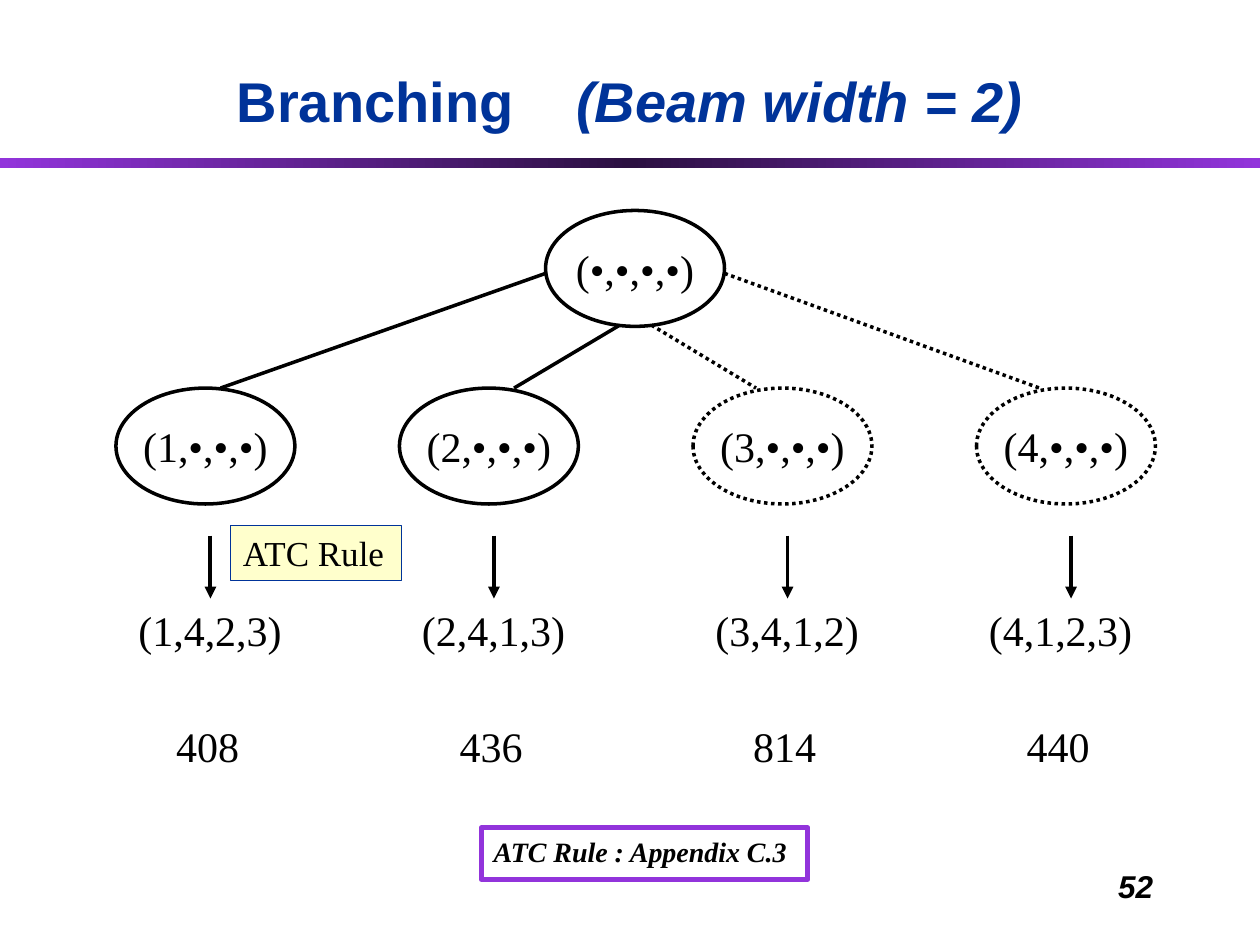
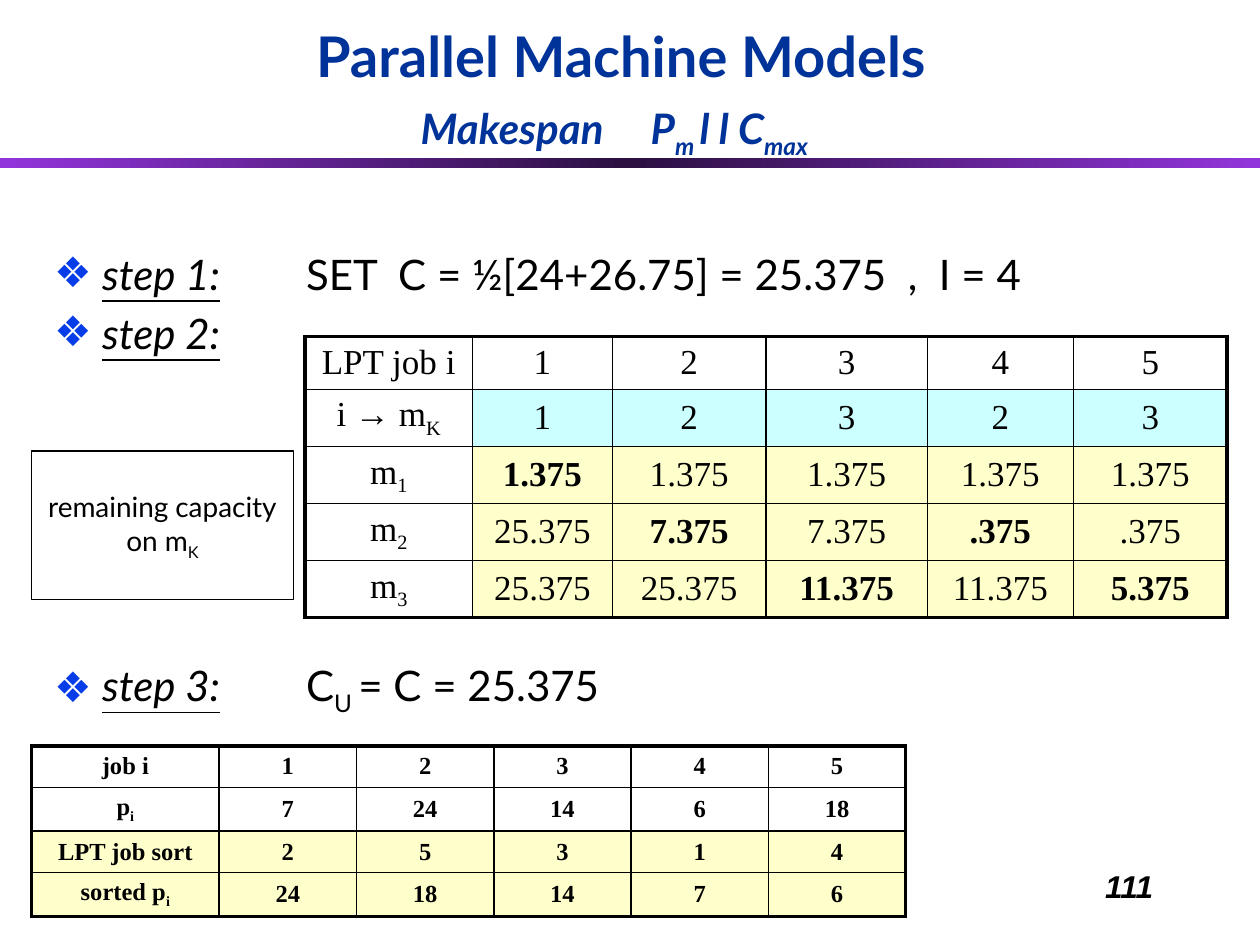
from lxml import etree
from pptx import Presentation
from pptx.dml.color import RGBColor
from pptx.enum.dml import MSO_LINE
from pptx.enum.shapes import MSO_CONNECTOR, MSO_SHAPE
from pptx.enum.text import MSO_ANCHOR, MSO_AUTO_SIZE, PP_ALIGN
from pptx.oxml.ns import qn
from pptx.util import Inches, Pt

RECT, OVAL = MSO_SHAPE.RECTANGLE, MSO_SHAPE.OVAL
LEFT, MID, RIGHT = PP_ALIGN.LEFT, PP_ALIGN.CENTER, PP_ALIGN.RIGHT
TOP, CENTER, LOW = MSO_ANCHOR.TOP, MSO_ANCHOR.MIDDLE, MSO_ANCHOR.BOTTOM
FIXED = MSO_AUTO_SIZE.NONE
DOT = MSO_LINE.ROUND_DOT
STRAIGHT = MSO_CONNECTOR.STRAIGHT

COLORS = {"ink": "000000", "navy": "003399", "violet": "9234DB", "dusk": "2B1041",
          "cream": "FFFFCC", "aqua": "CCFFFF", "blue": "063DE8"}
SERIF, SANS, HUMAN = "Times New Roman", "Arial", "Lato"

# Text parts are (text, flags, gap): "_" toggles subscript, flags are
# b bold, i italic, u underline, s small; gap is added letter spacing.
BRANCH_TITLE = [("Branching", "b"), (" ", "b", 26.7), ("(Beam width = 2)", "bi")]
ROOT = (4.33, 1.67, "(•,•,•,•)")
NODES = [
    (0.92, 1, "(1,•,•,•)", "(1,4,2,3)", "408", None),
    (3.17, 3.25, "(2,•,•,•)", "(2,4,1,3)", "436", None),
    (5.5, 5.58, "(3,•,•,•)", "(3,4,1,2)", "814", DOT),
    (7.75, 7.75, "(4,•,•,•)", "(4,1,2,3)", "440", DOT),
]
EDGES = [(4.33, 2.17, 1.75), (4.92, 2.58, 4.08), (5.17, 2.58, 6), (5.75, 2.17, 8.25)]

MODEL_TITLE = [("Parallel Machine Models", "b"), ("\n", ""), ("Makespan", "bis"),
               (" ", "bis", 21.7), ("P_m _l l C_max", "bis"), (" ", "b")]
STEPS = [
    ("step 1:", "\tSET  C = ½[24+26.75] = 25.375  ,  I = 4", 0),
    ("step 2:", "", 4.8),
    ("step 3:", "\tC_U _= C = 25.375", 172.8),
]
ASSIGN = ["1", "2", "3", "2", "3"]
LPT = [
    ["LPT job i", "1", "2", "3", "4", "5"],
    ["i → m_K", *ASSIGN],
    ["m_1", "1.375", "1.375", "1.375", "1.375", "1.375"],
    ["m_2", "25.375", "7.375", "7.375", ".375", ".375"],
    ["m_3", "25.375", "25.375", "11.375", "11.375", "5.375"],
]
JOBS = [
    ["job i", "1", "2", "3", "4", "5"],
    ["p_i", "7", "24", "14", "6", "18"],
    ["LPT job sort", "2", "5", "3", "1", "4"],
    ["sorted p_i", "24", "18", "14", "7", "6"],
]


def rgb(name):
    return RGBColor.from_string(COLORS[name])


def sub(parent, tag, **attrs):
    return etree.SubElement(parent, qn(tag), attrs)


def tint(parent, name):
    sub(parent, "a:srgbClr", val=COLORS[name])


def place(shape, box):
    shape.left, shape.top, shape.width, shape.height = map(Inches, box)


def write(para, parts, size, face, color="ink", align=LEFT):
    para.alignment = align
    for text, flags, *gap in parts:
        if text == "\n":
            para.add_line_break()
            continue
        for n, piece in enumerate(text.split("_")):
            if not piece:
                continue
            run = para.add_run()
            run.text = piece
            for flag, name in (("b", "bold"), ("i", "italic"), ("u", "underline")):
                if flag in flags:
                    setattr(run.font, name, True)
            if "s" in flags:
                run.font.size = Pt(24)
            props = run._r.get_or_add_rPr()
            if n % 2:
                props.set("baseline", "-25000")
            if gap:
                props.set("spc", str(round(gap[0] * 100)))
    font = para.font
    font.size, font.name = Pt(size), face
    font.color.rgb = rgb(color)


def frame(shape, wrap=True, anchor=TOP):
    text = shape.text_frame
    text.word_wrap, text.auto_size, text.vertical_anchor = wrap, FIXED, anchor
    return text


def label(slide, box, text, size=24, face=SERIF, flags="", align=LEFT):
    shape = slide.shapes.add_textbox(*map(Inches, box))
    write(frame(shape, False).paragraphs[0], [(text, flags)], size, face, align=align)


def block(slide, kind, box, line=None, width=1, fill=None, dash=None):
    shape = slide.shapes.add_shape(kind, *map(Inches, box))
    shape.shadow.inherit = False
    if fill:
        shape.fill.solid()
        shape.fill.fore_color.rgb = rgb(fill)
    else:
        shape.fill.background()
    if line:
        shape.line.color.rgb = rgb(line)
        shape.line.width = Pt(width)
        shape.line.dash_style = dash
    else:
        shape.line.fill.background()
    return shape


def link(slide, start, end, width=2, dash=None, arrow=False):
    line = slide.shapes.add_connector(STRAIGHT, *map(Inches, (*start, *end)))
    line.line.color.rgb = rgb("ink")
    line.line.width = Pt(width)
    line.line.dash_style = dash
    if arrow:
        sub(line.line._get_or_add_ln(), "a:tailEnd", type="triangle")
    sub(line._element.spPr, "a:effectLst")


def begin(deck, layout, title, box, face, anchor, number):
    slide = deck.slides.add_slide(deck.slide_layouts[layout])
    band = block(slide, RECT, (0, 1.25, 10, 0.08))
    band.fill.gradient()
    band.fill.gradient_angle = 0
    stops = band._element.spPr.find(qn("a:gradFill")).find(qn("a:gsLst"))
    for stop in list(stops):
        stops.remove(stop)
    for pos, name in ((0, "violet"), (50000, "dusk"), (100000, "violet")):
        tint(sub(stops, "a:gs", pos=str(pos)), name)
    place(slide.shapes.title, box)
    text = frame(slide.shapes.title, True, anchor)
    write(text.paragraphs[0], title, 32, face, "navy", MID)
    label(slide, (7.17, 6.83, 2.08, 0.5), number, 18, SANS, "bi", RIGHT)
    return slide


def node(slide, x, y, text, dash=None):
    oval = block(slide, OVAL, (x, y, 1.42, 0.92), "ink", 2, dash=dash)
    write(frame(oval, False, CENTER).paragraphs[0], [(text, "")], 24, SERIF, align=MID)


def branch(deck):
    slide = begin(deck, 5, BRANCH_TITLE, (0.75, 0.42, 8.5, 0.75), SANS, CENTER, "52")
    node(slide, *ROOT)
    for (x, left, name, order, cost, dash), (from_x, from_y, to_x) in zip(NODES, EDGES):
        node(slide, x, 3.08, name, dash)
        link(slide, (from_x, from_y), (to_x, 3.08), dash=dash)
        link(slide, (x + 0.75, 4.25), (x + 0.75, 4.75), 2.25, arrow=True)
        label(slide, (left, 4.75, 1.34, 0.5), order)
        label(slide, (left + 0.3, 5.67, 0.7, 0.5), cost)
    rule = block(slide, RECT, (1.83, 4.17, 1.36, 0.44), "navy", 0.75, "cream")
    write(frame(rule, False).paragraphs[0], [("ATC Rule", "")], 20, SERIF)
    note = block(slide, RECT, (3.82, 6.57, 2.59, 0.41), "violet", 3)
    write(frame(note, False).paragraphs[0], [("ATC Rule : Appendix C.3", "bi")], 16, SERIF)


def grid(slide, data, left, top, widths, height, size, tints, first, bold):
    rows, cols = len(data), len(data[0])
    box = (left, top, sum(widths), height * rows)
    table = slide.shapes.add_table(rows, cols, *map(Inches, box)).table
    table.first_row = table.horz_banding = False
    for col, width in zip(table.columns, widths):
        col.width = Inches(width)
    for r, row in enumerate(data):
        table.rows[r].height = Inches(height)
        for c, text in enumerate(row):
            cell = table.cell(r, c)
            cell.vertical_anchor = CENTER
            flags = "b" if bold(r, c) else ""
            write(cell.text_frame.paragraphs[0], [(text, flags)], size, SERIF, align=MID)
            props = cell._tc.get_or_add_tcPr()
            outer = {"L": c == 0, "R": c == cols - 1, "T": r == 0, "B": r == rows - 1}
            for side, edge in outer.items():
                line = sub(props, "a:ln" + side, w=str(Pt(2.25 if edge else 1)))
                tint(sub(line, "a:solidFill"), "ink")
            if tints[r] and c >= first:
                cell.fill.solid()
                cell.fill.fore_color.rgb = rgb(tints[r])
            else:
                cell.fill.background()


def steps(body):
    place(body, (0.33, 1.92, 9.42, 5.25))
    text = frame(body)
    for n, (name, rest, gap) in enumerate(STEPS):
        para = text.add_paragraph() if n else text.paragraphs[0]
        para.space_before = Pt(gap)
        props = para._p.get_or_add_pPr()
        props.set("marL", str(Inches(0.38)))
        props.set("indent", str(-Inches(0.38)))
        tint(sub(props, "a:buClr"), "blue")
        sub(props, "a:buChar", char="❖")
        sub(sub(props, "a:tabLst"), "a:tab", pos=str(Inches(2)), algn="l")
        write(para, [(name, "iu"), (rest, "")], 24, HUMAN)


def models(deck):
    slide = begin(deck, 1, MODEL_TITLE, (0.25, 0.17, 9.36, 1.15), HUMAN, LOW, "111")
    steps(slide.placeholders[1])
    grid(slide, LPT, 2.42, 2.67, [1.33, 1.11, 1.22, 1.28, 1.16, 1.22], 0.42, 20,
         [None, "aqua", "cream", "cream", "cream"], 1,
         lambda r, c: r > 1 and c > 0 and ASSIGN[c - 1] == str(r - 1))
    note = block(slide, RECT, (0.25, 3.58, 2.08, 1.18), "ink", 0.75)
    text = frame(note, True, CENTER)
    write(text.paragraphs[0], [("remaining capacity", "")], 16, HUMAN, align=MID)
    write(text.add_paragraph(), [("on m_K", "")], 16, HUMAN, align=MID)
    grid(slide, JOBS, 0.25, 5.92, [1.49] + [1.09] * 5, 0.33, 14,
         [None, None, "cream", "cream"], 0, lambda r, c: True)


def main():
    deck = Presentation()
    deck.slide_width, deck.slide_height = Inches(10), Inches(7.5)
    branch(deck)
    models(deck)
    deck.save("out.pptx")


if __name__ == "__main__":
    main()
